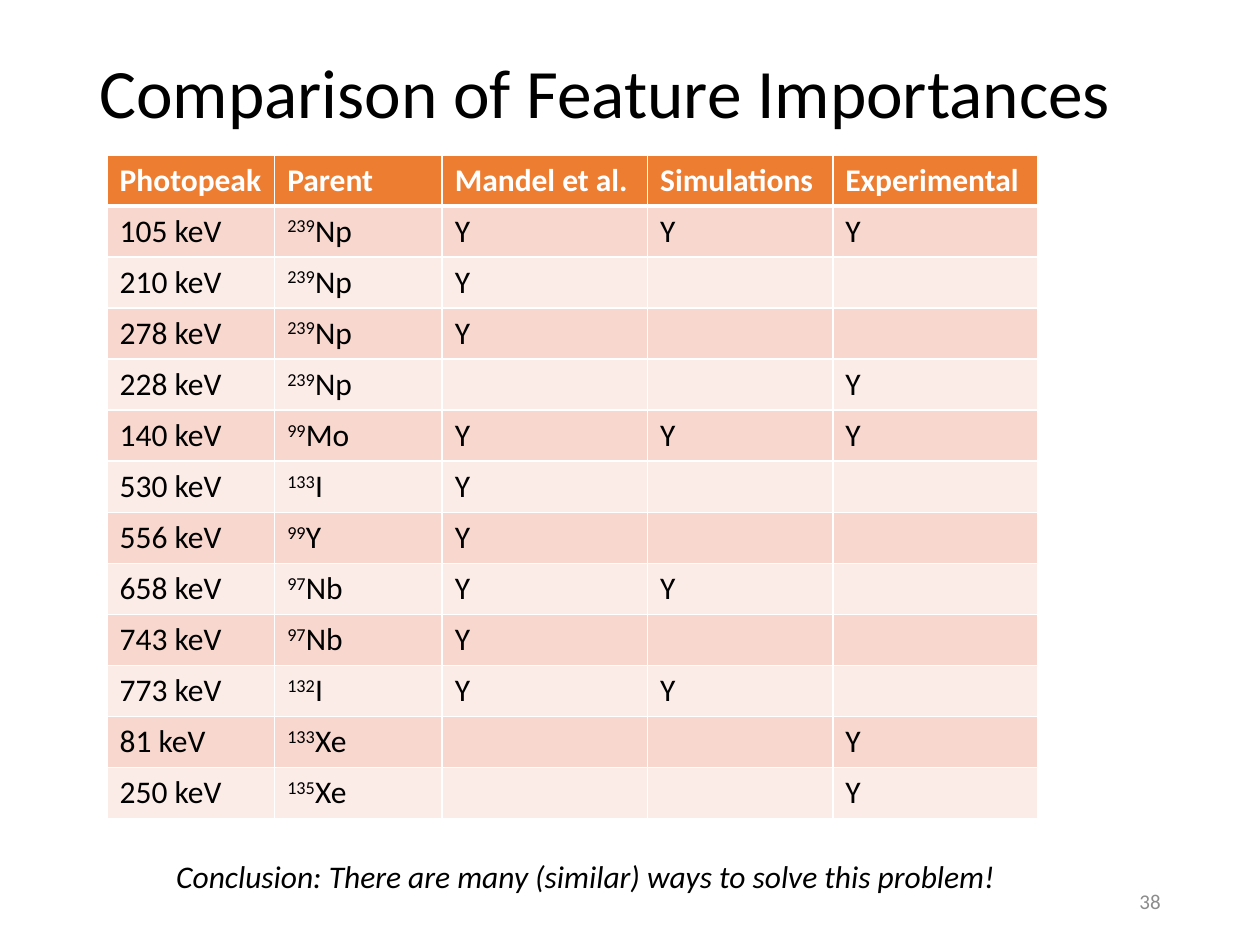
from lxml.etree import SubElement as Sub
from pptx import Presentation
from pptx.dml.color import RGBColor
from pptx.enum.text import MSO_ANCHOR as Anchor, PP_ALIGN as Align
from pptx.oxml.ns import qn
from pptx.util import Inches, Pt

HEADS = ["Photopeak", "Parent", "Mandel et al.", "Simulations", "Experimental"]
WIDTHS = [1.33, 1.33, 1.63, 1.47, 1.63]
PEAKS = [
    ("105", "239", "Np", "MSE"),
    ("210", "239", "Np", "M"),
    ("278", "239", "Np", "M"),
    ("228", "239", "Np", "E"),
    ("140", "99", "Mo", "MSE"),
    ("530", "133", "I", "M"),
    ("556", "99", "Y", "M"),
    ("658", "97", "Nb", "MS"),
    ("743", "97", "Nb", "M"),
    ("773", "132", "I", "MS"),
    ("81", "133", "Xe", "E"),
    ("250", "135", "Xe", "E"),
]


def color(code):
    return RGBColor.from_string(code)


class Deck:
    font = "Calibri"
    black, white, gray = "000000", "FFFFFF", "8C8C8C"
    head, bands = "ED7D31", ("F8D7CE", "FCECE8")

    def __init__(self, slide):
        self.slide = slide

    def run(self, para, text, size=18, ink=black, bold=False, slant=False, lift=False):
        run = para.add_run()
        run.text = text
        font = run.font
        font.name, font.size = self.font, Pt(size)
        font.bold, font.italic = bold, slant
        font.color.rgb = color(ink)
        if lift:
            run._r.get_or_add_rPr().set("baseline", "30000")

    def text(self, box, text, anchor=Anchor.TOP, align=Align.LEFT, wrap=True, space=None, **style):
        frame = self.slide.shapes.add_textbox(*map(Inches, box)).text_frame
        frame.word_wrap = wrap
        frame.vertical_anchor = anchor
        para = frame.paragraphs[0]
        para.alignment = align
        para.line_spacing = space
        self.run(para, text, **style)

    def border(self, cell, row):
        props = cell._tc.get_or_add_tcPr()
        thick = {(0, "B"), (1, "T")}
        for spot, side in enumerate("LRTB"):
            line = Sub(props, qn(f"a:ln{side}"), w=str(Pt(3 if (row, side) in thick else 1)))
            Sub(Sub(line, qn("a:solidFill")), qn("a:srgbClr"), val=self.white)
            props.insert(spot, line)

    def table(self, box, widths, rows):
        grid = self.slide.shapes.add_table(len(rows), len(widths), *map(Inches, box)).table
        for col, width in zip(grid.columns, widths):
            col.width = Inches(width)
        for r, row in enumerate(rows):
            top = r == 0
            for c, parts in enumerate(row):
                cell = grid.cell(r, c)
                cell.fill.solid()
                cell.fill.fore_color.rgb = color(self.head if top else self.bands[(r - 1) % 2])
                self.border(cell, r)
                for text, lift in parts:
                    self.run(cell.text_frame.paragraphs[0], text, bold=top, lift=lift,
                             ink=self.white if top else self.black)


def main():
    show = Presentation()
    show.slide_width, show.slide_height = Inches(10), Inches(7.5)
    deck = Deck(show.slides.add_slide(show.slide_layouts[6]))
    deck.text((0.69, 0.4, 9.1, 0.73), "Comparison of Feature Importances",
              anchor=Anchor.MIDDLE, space=0.9, size=39.6)
    rows = [[[(head, False)] for head in HEADS]]
    for peak, mass, atom, marks in PEAKS:
        votes = [[("Y", False)] if key in marks else [] for key in "MSE"]
        rows.append([[(f"{peak} keV", False)], [(mass, True), (atom, False)], *votes])
    deck.table((0.85, 1.23, sum(WIDTHS), 5.27), WIDTHS, rows)
    deck.text((7.06, 6.95, 2.25, 0.4), "38", anchor=Anchor.MIDDLE, align=Align.RIGHT,
              size=12, ink=deck.gray)
    deck.text((1.3, 6.75, 6.71, 0.4),
              "Conclusion: There are many (similar) ways to solve this problem!",
              wrap=False, slant=True)
    show.save("out.pptx")


if __name__ == "__main__":
    main()
